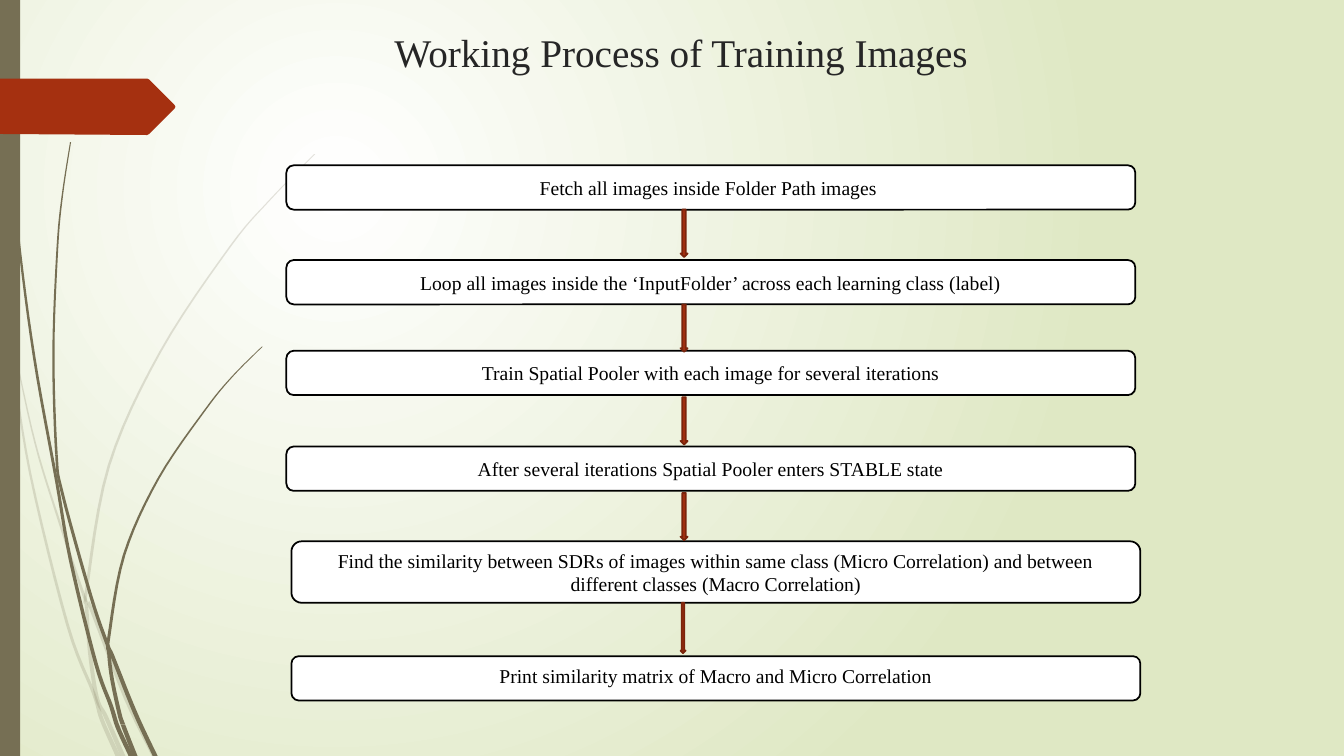
from lxml import etree
from pptx import Presentation
from pptx import util as u
from pptx.dml.color import RGBColor
from pptx.enum import shapes, text
from pptx.oxml.ns import qn

COLORS = {"white": "FFFFFF", "pale_green": "DFE8C4", "olive": "766F54",
          "red": "A53010", "dark_red": "7A240C", "black": "000000",
          "title": "262626"}
FONT = "Times New Roman"

deck = Presentation()
deck.slide_width, deck.slide_height = u.Inches(13.33), u.Inches(7.5)
page = deck.slides.add_slide(deck.slide_layouts[5])


def paint(shape, fill, line=None):
    shape.shadow.inherit = False
    shape.fill.solid()
    shape.fill.fore_color.rgb = RGBColor.from_string(COLORS[fill])
    if line:
        shape.line.color.rgb = RGBColor.from_string(COLORS[line])
        shape.line.width = u.Pt(1.25)
    else:
        shape.line.fill.background()


def write(shape, words, size, color):
    para = shape.text_frame.paragraphs[0]
    para.alignment = text.PP_ALIGN.CENTER
    span = para.add_run()
    span.text = words
    span.font.size = u.Pt(size)
    span.font.name = FONT
    span.font.color.rgb = RGBColor.from_string(COLORS[color])


# Background: round gradient centred in the upper left quarter
backdrop = page.background.fill
backdrop.gradient()
for stop, name, position in zip(backdrop.gradient_stops, ("white", "pale_green"), (0, 1)):
    stop.color.rgb = RGBColor.from_string(COLORS[name])
    stop.position = position
grad = page.background._cSld.find(".//" + qn("a:gradFill"))
grad.remove(grad.find(qn("a:lin")))
circle = etree.SubElement(grad, qn("a:path"), path="circle")
etree.SubElement(circle, qn("a:fillToRect"), l="50000", t="50000", r="100000", b="100000")

# Grass blades: opacity in percent, knots where a piece ends, centre line from tip to root
blades = [
    (20, [1, 5], [(0, 2.9), (0.11, 3.5), (0.3, 4.7), (0.67, 6.2), (0.93, 6.88), (1.01, 7.14),
                  (1.17, 7.5)]),
    (20, [3, 4], [(0.14, 3.45), (0.35, 4.4), (0.6, 5.21), (0.84, 5.93), (0.9, 6.03),
                  (1.25, 6.93), (1.53, 7.5)]),
    (20, [6, 9], [(3.12, 1.53), (2.68, 1.98), (2.28, 2.45), (1.59, 3.49), (1.08, 4.62),
                  (0.86, 5.84), (0.86, 6.03), (0.89, 6.46), (0.96, 6.92), (1.05, 7.11),
                  (1.22, 7.5)]),
    (100, [5, 9], [(0.03, 0), (0.04, 0.48), (0.07, 1.1), (0.18, 2.33), (0.34, 3.55),
                   (0.56, 4.77), (0.7, 5.56), (0.95, 6.58), (1.1, 7), (1.17, 7.22), (1.3, 7.5)]),
    (100, [4, 5, 7, 8], [(0.7, 1.41), (0.62, 1.93), (0.57, 2.45), (0.53, 3.49), (0.56, 4.51),
                         (0.62, 4.9), (0.9, 5.91), (1.06, 6.38), (1.12, 6.52), (1.34, 7.07),
                         (1.54, 7.5)]),
    (100, [6, 9], [(2.6, 3.44), (2.31, 3.73), (2.04, 4.06), (1.57, 4.75), (1.23, 5.51),
                   (1.08, 6.32), (1.08, 6.48), (1.11, 6.73), (1.18, 7.06), (1.22, 7.19),
                   (1.34, 7.5)]),
]
STEPS = 6
outlines = []
for opacity, breaks, knots in blades:
    # Smooth curve through the knots
    ends = [knots[0]] + knots + [knots[-1]]
    curve = []
    for before, start, end, after in zip(ends, ends[1:], ends[2:], ends[3:]):
        for step in range(STEPS):
            t = step / STEPS
            curve.append([
                b + t / 2 * (c - a + t * (2 * a - 5 * b + 4 * c - d + t * (3 * b - a - 3 * c + d)))
                for a, b, c, d in zip(before, start, end, after)])
    curve.append(knots[-1])
    # The blade widens from tip to root
    half = [0.005 + 0.02 * index / len(curve) for index in range(len(curve))]
    left = [(x - h, y) for (x, y), h in zip(curve, half)]
    right = [(x + h, y) for (x, y), h in zip(curve, half)]
    for first, last in zip([0] + breaks, breaks + [len(knots) - 1]):
        part = slice(first * STEPS, last * STEPS + 1)
        outlines.append(("olive", opacity, left[part] + right[part][::-1]))

# Red tag
outlines.append(("red", 100, [(0, 0.78), (1.46, 0.78), (1.48, 0.79), (1.73, 1.04), (1.74, 1.06),
                              (1.73, 1.08), (1.48, 1.33), (1.46, 1.34), (0, 1.33)]))

# Side bar, then blades and tag
bar = page.shapes.add_shape(shapes.MSO_SHAPE.RECTANGLE, 0, 0, u.Inches(0.2), u.Inches(7.5))
paint(bar, "olive")
for color, opacity, outline in outlines:
    points = [(u.Inches(x), u.Inches(y)) for x, y in outline]
    builder = page.shapes.build_freeform(*points[0])
    builder.add_line_segments(points[1:], close=True)
    piece = builder.convert_to_shape()
    paint(piece, color)
    if opacity < 100:
        tint = piece._element.spPr.find(".//" + qn("a:srgbClr"))
        etree.SubElement(tint, qn("a:alpha"), val=str(opacity * 1000))

# Title
title = page.shapes.title
title.left, title.top = u.Inches(0.18), u.Inches(0.23)
title.width, title.height = u.Inches(13.15), u.Inches(0.72)
title.text_frame.vertical_anchor = text.MSO_ANCHOR.TOP
title.text_frame.margin_top = u.Inches(0.05)
write(title, "Working Process of Training Images", 28, "title")

# Process steps: left, top, height, bottom margin, wording
process = [
    (2.84, 1.64, 0.44, 0.05, "Fetch all images inside Folder Path images "),
    (2.84, 2.58, 0.44, 0.05,
     "Loop all images inside the ‘InputFolder’ across each learning class (label)"),
    (2.84, 3.48, 0.44, 0.05, "Train Spatial Pooler with each image for several iterations"),
    (2.84, 4.43, 0.44, 0.05, "After several iterations Spatial Pooler enters STABLE state"),
    (2.89, 5.37, 0.61, 0.05,
     "Find the similarity between SDRs of images within same class "
     "(Micro Correlation) and between different classes (Macro Correlation)"),
    (2.89, 6.51, 0.44, 0.11, "Print similarity matrix of Macro and Micro Correlation"),
]
for x, y, height, margin, words in process:
    box = page.shapes.add_shape(shapes.MSO_SHAPE.ROUNDED_RECTANGLE, u.Inches(x), u.Inches(y),
                                u.Inches(8.42), u.Inches(height))
    paint(box, "white", "black")
    box.text_frame.word_wrap = True
    box.text_frame.vertical_anchor = text.MSO_ANCHOR.MIDDLE
    box.text_frame.margin_bottom = u.Inches(margin)
    write(box, words, 14, "black")

# Arrows between the steps: top, width, height
for y, width, height in [(2.08, 0.07, 0.47), (3.02, 0.07, 0.47), (3.94, 0.07, 0.47),
                         (4.89, 0.07, 0.47), (5.98, 0.05, 0.5)]:
    arrow = page.shapes.add_shape(shapes.MSO_SHAPE.DOWN_ARROW, u.Inches(6.75), u.Inches(y),
                                  u.Inches(width), u.Inches(height))
    paint(arrow, "red", "dark_red")

deck.save("out.pptx")
